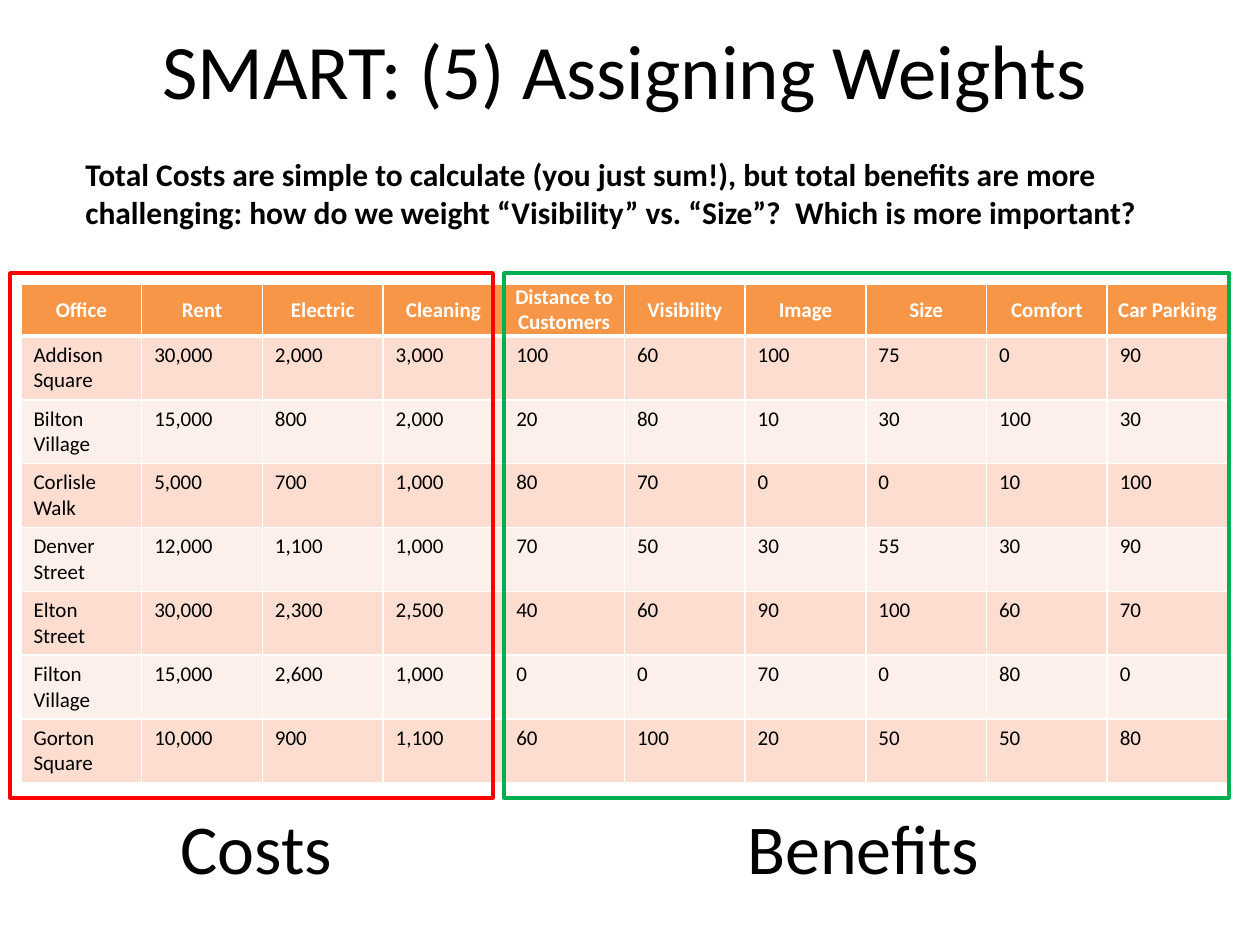
from dataclasses import dataclass

from lxml import etree
from pptx import Presentation
from pptx.dml.color import RGBColor
from pptx.enum.shapes import MSO_SHAPE
from pptx.enum.text import MSO_ANCHOR, PP_ALIGN
from pptx.oxml.ns import qn
from pptx.util import Emu, Pt

RECTANGLE = MSO_SHAPE.RECTANGLE
TOP, MIDDLE = MSO_ANCHOR.TOP, MSO_ANCHOR.MIDDLE
LEFT, CENTER = PP_ALIGN.LEFT, PP_ALIGN.CENTER

BLACK = RGBColor(0x00, 0x00, 0x00)
WHITE = RGBColor(0xFF, 0xFF, 0xFF)
ORANGE = RGBColor(0xF7, 0x96, 0x46)
BANDS = (RGBColor(0xFD, 0xEF, 0xE9), RGBColor(0xFC, 0xDD, 0xCF))
RED = RGBColor(0xFF, 0x00, 0x00)
GREEN = RGBColor(0x00, 0xB0, 0x50)

FONT = "Calibri"
EMU_PER_PIXEL = 914400 / 126


@dataclass(frozen=True)
class Box:
    left: int
    top: int
    width: int
    height: int

    def emu(self) -> list[Emu]:
        return [px(value) for value in (self.left, self.top, self.width, self.height)]


@dataclass(frozen=True)
class Label:
    box: Box
    text: str
    size: int
    bold: bool = False


@dataclass(frozen=True)
class Outline:
    box: Box
    color: RGBColor


TITLE = Label(Box(42, -10, 1166, 158), "SMART: (5) Assigning Weights", 44)
LABELS = (
    Label(
        Box(73, 149, 1113, 89),
        "Total Costs are simple to calculate (you just sum!), but total benefits are more "
        "challenging: how do we weight “Visibility” vs. “Size”?  Which is more important?",
        18,
        True,
    ),
    Label(Box(735, 798, 284, 97), "Benefits", 40),
    Label(Box(168, 798, 189, 97), "Costs", 40),
)
OUTLINES = (
    Outline(Box(504, 273, 725, 525), GREEN),
    Outline(Box(10, 273, 483, 525), RED),
)

TABLE_BOX = Box(21, 284, 1207, 493)
ROW_HEIGHT = 52
ROWS = (
    ("Office", "Rent", "Electric", "Cleaning", "Distance to Customers",
     "Visibility", "Image", "Size", "Comfort", "Car Parking"),
    ("Addison Square", "30,000", "2,000", "3,000", "100", "60", "100", "75", "0", "90"),
    ("Bilton Village", "15,000", "800", "2,000", "20", "80", "10", "30", "100", "30"),
    ("Corlisle Walk", "5,000", "700", "1,000", "80", "70", "0", "0", "10", "100"),
    ("Denver Street", "12,000", "1,100", "1,000", "70", "50", "30", "55", "30", "90"),
    ("Elton Street", "30,000", "2,300", "2,500", "40", "60", "90", "100", "60", "70"),
    ("Filton Village", "15,000", "2,600", "1,000", "0", "0", "70", "0", "80", "0"),
    ("Gorton Square", "10,000", "900", "1,100", "60", "100", "20", "50", "50", "80"),
)


def px(value: float) -> Emu:
    return Emu(round(value * EMU_PER_PIXEL))


def set_all(target, values: dict) -> None:
    for name, value in values.items():
        setattr(target, name, value)


def write_text(frame, text: str, size: int, color=BLACK, bold=False, align=LEFT) -> None:
    para = frame.paragraphs[0]
    para.alignment = align
    span = para.add_run()
    span.text = text
    set_all(span.font, {"name": FONT, "size": Pt(size), "bold": bold})
    span.font.color.rgb = color


def set_borders(cell, widths: dict[str, int]) -> None:
    properties = cell._tc.get_or_add_tcPr()
    for side, width in widths.items():
        line = etree.SubElement(properties, qn(f"a:ln{side}"), w=str(Pt(width)))
        fill = etree.SubElement(line, qn("a:solidFill"))
        etree.SubElement(fill, qn("a:srgbClr"), val=str(WHITE))


def add_score_table(page) -> None:
    left, top, width, height = TABLE_BOX.emu()
    frame = page.shapes.add_table(
        len(ROWS), len(ROWS[0]), left, top, width, px(ROW_HEIGHT * len(ROWS)))
    frame.height = height
    frame.table.horz_banding = False
    for row, texts in enumerate(ROWS):
        header = row == 0
        for column, text in enumerate(texts):
            cell = frame.table.cell(row, column)
            # The rule under the header is thicker than the rest
            set_borders(cell, {"L": 1, "R": 1, "T": 3 if row == 1 else 1,
                               "B": 3 if header else 1})
            cell.fill.solid()
            cell.fill.fore_color.rgb = ORANGE if header else BANDS[row % 2]
            cell.vertical_anchor = MIDDLE if header else TOP
            if header:
                set_all(cell, dict.fromkeys(
                    ("margin_left", "margin_right", "margin_top", "margin_bottom"), 0))
            write_text(cell.text_frame, text, 12, WHITE if header else BLACK,
                       header, CENTER if header else LEFT)


def add_title(page, label: Label) -> None:
    title = page.shapes.title
    set_all(title, dict(zip(("left", "top", "width", "height"), label.box.emu())))
    title.text_frame.vertical_anchor = MIDDLE
    write_text(title.text_frame, label.text, label.size, align=CENTER)


def add_label(page, label: Label) -> None:
    frame = page.shapes.add_textbox(*label.box.emu()).text_frame
    frame.word_wrap = True
    write_text(frame, label.text, label.size, bold=label.bold)


def add_outline(page, outline: Outline) -> None:
    shape = page.shapes.add_shape(RECTANGLE, *outline.box.emu())
    shape.shadow.inherit = False
    shape.fill.background()
    shape.line.color.rgb = outline.color
    shape.line.width = Pt(2)


def build() -> None:
    deck = Presentation()
    set_all(deck, {"slide_width": px(1260), "slide_height": px(945)})
    page = deck.slides.add_slide(deck.slide_layouts[5])

    # Title and table
    add_title(page, TITLE)
    add_score_table(page)

    # Frames around the cost and benefit columns
    for outline in OUTLINES:
        add_outline(page, outline)

    # Explanation and frame captions
    for label in LABELS:
        add_label(page, label)

    deck.save("out.pptx")


build()
